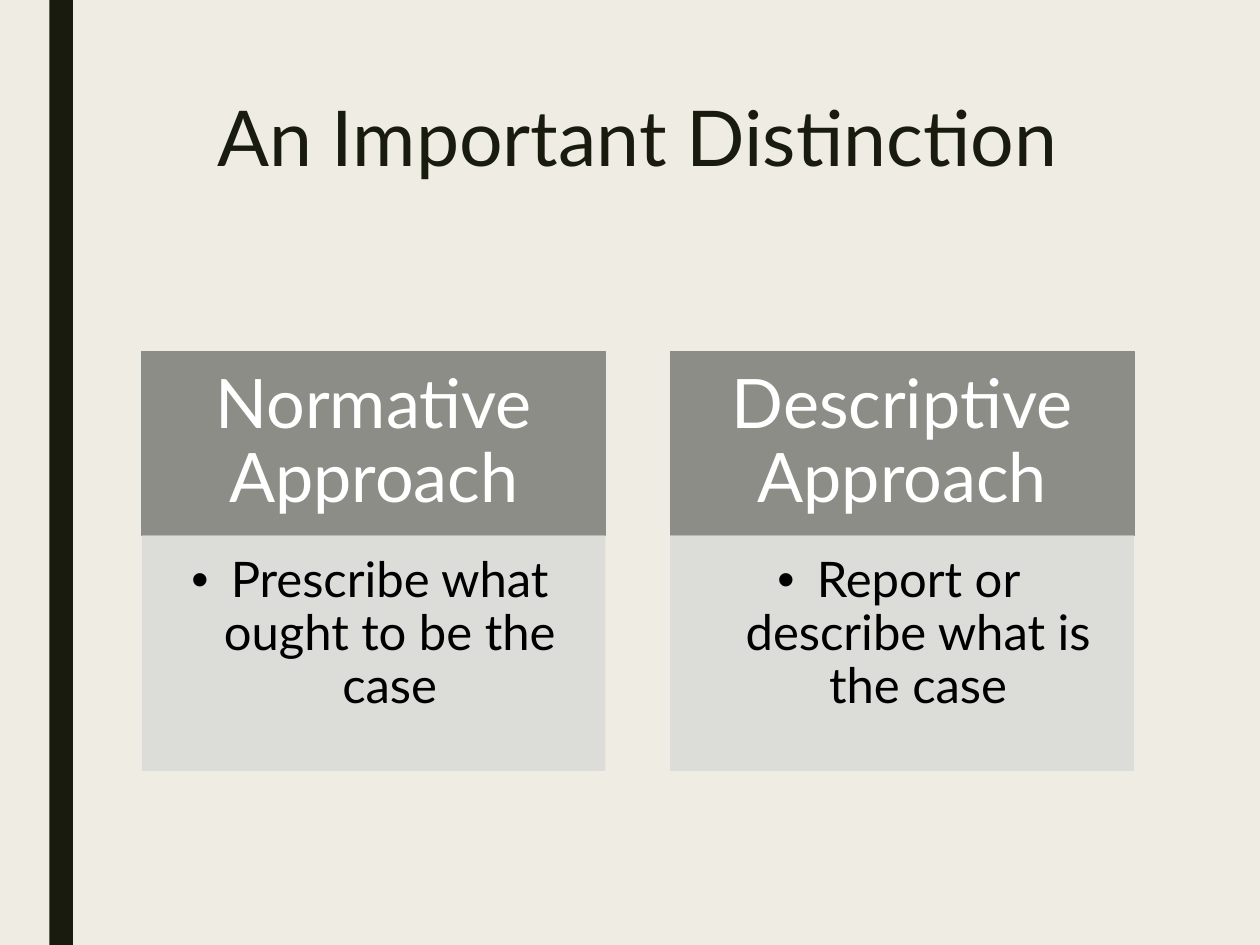
from lxml import etree
from pptx import Presentation
from pptx.dml.color import RGBColor
from pptx.enum import shapes, text
from pptx.oxml import ns
from pptx.util import Pt

CREAM = RGBColor(0xEF, 0xED, 0xE3)
INK = RGBColor(0x19, 0x1B, 0x0E)
GRAY = RGBColor(0x8C, 0x8D, 0x86)
PALE = RGBColor(0xDA, 0xDB, 0xD9)
WHITE = RGBColor(0xFF, 0xFF, 0xFF)
BLACK = RGBColor(0, 0, 0)
FONT = "Lato"

APPROACHES = [
    ("Normative Approach", "Prescribe what ought to be the case"),
    ("Descriptive Approach", "Report or describe what is the case"),
]


def add_block(slide, box, color):
    """Add a plain filled rectangle without outline or shadow."""
    block = slide.shapes.add_shape(shapes.MSO_SHAPE.RECTANGLE, *map(Pt, box))
    block.shadow.inherit = False
    block.fill.solid()
    block.fill.fore_color.rgb = color
    block.line.fill.background()
    return block


def write(shape, words, size, color, insets, anchor, spacing=0.9):
    """Write one centred paragraph into a shape and return it."""
    frame = shape.text_frame
    frame.word_wrap = True
    frame.vertical_anchor = anchor
    (frame.margin_left, frame.margin_top,
     frame.margin_right, frame.margin_bottom) = map(Pt, insets)
    paragraph = frame.paragraphs[0]
    paragraph.alignment = text.PP_ALIGN.CENTER
    paragraph.line_spacing = spacing
    run = paragraph.add_run()
    run.text = words
    run.font.name = FONT
    run.font.size = Pt(size)
    run.font.color.rgb = color
    return paragraph


def add_bullet(paragraph, indent):
    """Give a paragraph a hanging round bullet."""
    properties = paragraph._p.get_or_add_pPr()
    properties.set("marL", str(Pt(indent)))
    properties.set("indent", str(-Pt(indent)))
    etree.SubElement(properties, ns.qn("a:buFont")).set("typeface", "Arial")
    etree.SubElement(properties, ns.qn("a:buChar")).set("char", "•")


def set_opacity(shape, percent):
    """Make the solid fill of a shape partly transparent."""
    fill_color = shape._element.spPr.find(ns.qn("a:solidFill"))[0]
    etree.SubElement(fill_color, ns.qn("a:alpha")).set("val", str(percent * 1000))


def add_title(slide, box, words):
    """Add the slide heading."""
    title = slide.shapes.add_textbox(*map(Pt, box))
    write(title, words, 44, INK, (7.2, 3.6, 7.2, 3.6), text.MSO_ANCHOR.TOP, 0.89)


def add_card(slide, box, heading, meaning, header_height=105.2):
    """Add a dark heading above a pale panel with one bullet."""
    left, top, width, height = box
    header = add_block(slide, (left, top, width, header_height), GRAY)
    header.line.color.rgb = GRAY
    header.line.width = Pt(0.5)
    write(header, heading, 39, WHITE, (21.6, 12, 21.6, 12), text.MSO_ANCHOR.MIDDLE)

    panel = add_block(
        slide, (left, top + header_height, width, height - header_height), PALE)
    set_opacity(panel, 90)
    bullet = write(panel, meaning, 28, BLACK, (11.5, 11.5, 15.8, 17.3),
                   text.MSO_ANCHOR.TOP)
    add_bullet(bullet, 22.5)


def add_cards(slide, box, approaches, gap=37):
    """Place the cards side by side in equal columns."""
    left, top, width, height = box
    card_width = (width - gap * (len(approaches) - 1)) / len(approaches)
    for column, (heading, meaning) in enumerate(approaches):
        card_left = left + column * (card_width + gap)
        add_card(slide, (card_left, top, card_width, height), heading, meaning)


def main():
    """Build and save the slide."""
    deck = Presentation()
    deck.slide_width, deck.slide_height = Pt(720), Pt(540)
    slide = deck.slides.add_slide(deck.slide_layouts[6])
    slide.background.fill.solid()
    slide.background.fill.fore_color.rgb = CREAM
    add_block(slide, (28.2, 0, 13.5, 540), INK)
    add_title(slide, (80.8, 54, 567.2, 116.6), "An Important Distinction")
    add_cards(slide, (81, 200.8, 567, 239.8), APPROACHES)
    deck.save("out.pptx")


if __name__ == "__main__":
    main()
